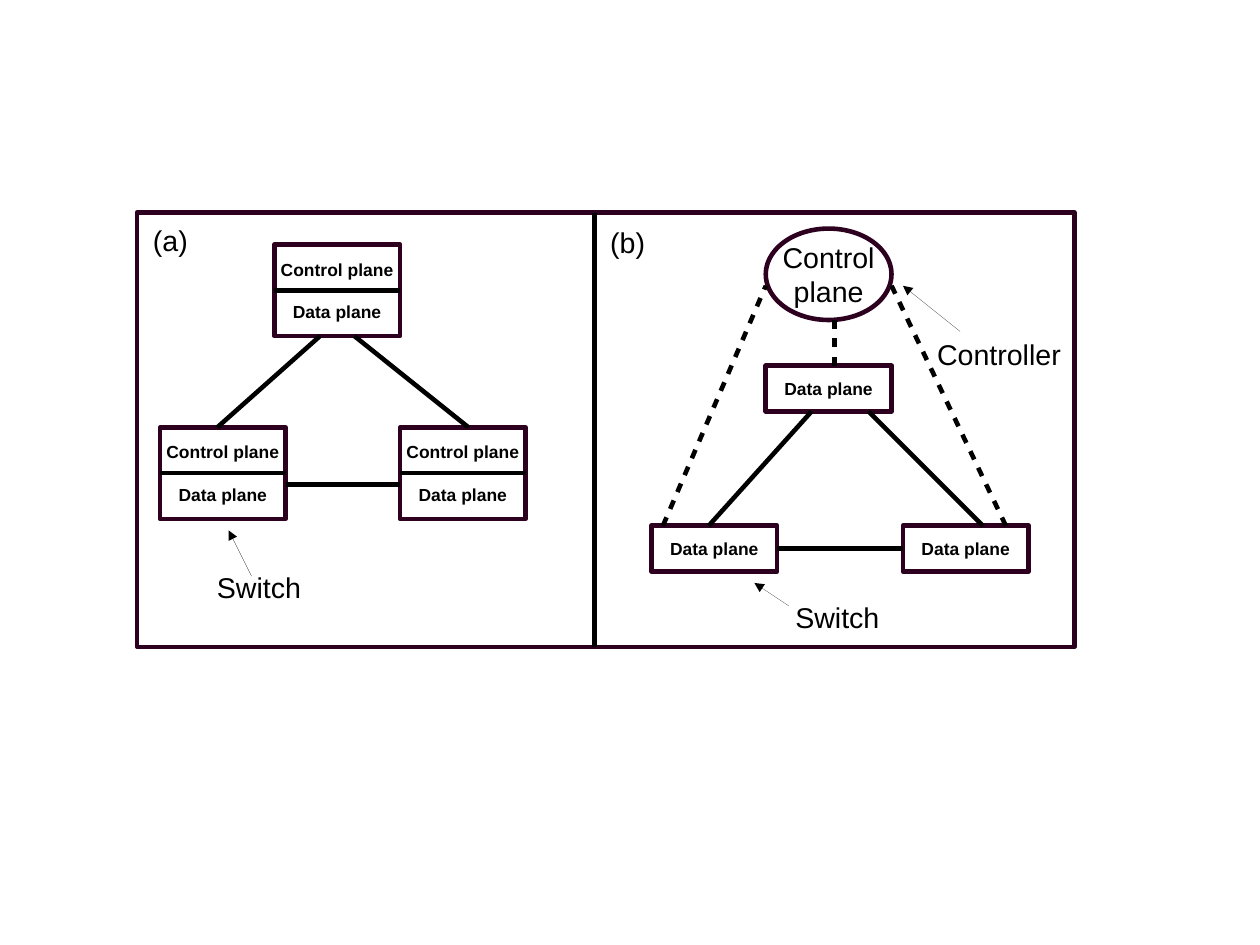
from dataclasses import dataclass

from lxml import etree
from pptx import Presentation
from pptx.dml.color import RGBColor
from pptx.enum.shapes import MSO_CONNECTOR, MSO_SHAPE
from pptx.enum.text import MSO_ANCHOR, PP_ALIGN
from pptx.oxml.ns import qn
from pptx.util import Cm, Inches, Pt

RECTANGLE, OVAL = MSO_SHAPE.RECTANGLE, MSO_SHAPE.OVAL
STRAIGHT = MSO_CONNECTOR.STRAIGHT
LEFT, CENTER = PP_ALIGN.LEFT, PP_ALIGN.CENTER
TOP, MIDDLE = MSO_ANCHOR.TOP, MSO_ANCHOR.MIDDLE


@dataclass(frozen=True)
class Theme:
    font: str = "Arial"
    ink: RGBColor = RGBColor(0x00, 0x00, 0x00)
    outline: RGBColor = RGBColor(0x2C, 0x00, 0x1E)
    plane_size: float = 11
    label_size: float = 18
    line_width: float = 2.89
    hairline: float = 0
    plane_gap: float = 13.5


THEME = Theme()

# Content: positions in inches
FRAME = (1.2, 1.86, 8.2, 3.8)
DIVIDER_X = 5.2
NODE_WIDTH, PLANE_HEIGHT = 1.1, 0.4
SWITCH_PLANES = ["Control plane", "Data plane"]
DATA_PLANE = ["Data plane"]
CONTROLLER = ["Control", "plane"]
CONTROLLER_AT = (6.7, 2.0)

FULL_SWITCHES = [(1.4, 3.74), (2.4, 2.14), (3.5, 3.74)]
DATA_SWITCHES = [(5.7, 4.6), (6.7, 3.2), (7.9, 4.6)]

DATA_LINKS = [
    (1.9, 3.74, 2.8, 2.94), (4.1, 3.74, 3.1, 2.94), (3.5, 4.24, 2.5, 4.24),
    (6.2, 4.6, 7.1, 3.6), (8.6, 4.6, 7.6, 3.6), (7.9, 4.8, 6.8, 4.8),
]
CONTROL_LINKS = [(5.8, 4.6, 6.7, 2.5), (7.3, 3.2, 7.3, 2.8), (8.8, 4.6, 7.8, 2.5)]
POINTERS = [(2.2, 5.04, 2.0, 4.64), (8.4, 2.9, 7.9, 2.5), (6.9, 5.3, 6.6, 5.1)]
LABELS = [
    ("(a)", 1.24, 1.9, 0.6, 0.38), ("(b)", 5.24, 1.92, 0.6, 0.38),
    ("Switch", 1.8, 4.94, 1.1, 0.66), ("Switch", 6.86, 5.2, 1.1, 0.66),
    ("Controller", 8.1, 2.9, 1.3, 0.66),
]


def write_text(shape, lines, *, size, bold=False, align=LEFT, anchor=TOP,
               wrap=True, insets=(0.1, 0.05), gap=0):
    frame = shape.text_frame
    frame.word_wrap = wrap
    frame.vertical_anchor = anchor
    frame.margin_left = frame.margin_right = Inches(insets[0])
    frame.margin_top = frame.margin_bottom = Inches(insets[1])
    for index, line in enumerate(lines):
        paragraph = frame.add_paragraph() if index else frame.paragraphs[0]
        paragraph.alignment = align
        paragraph.space_before = Pt(gap if index else 0)
        run = paragraph.add_run()
        run.text = line
        run.font.name, run.font.size, run.font.bold = THEME.font, Pt(size), bold
        run.font.color.rgb = THEME.ink


def add_outline(slide, kind, box):
    shape = slide.shapes.add_shape(kind, *map(Inches, box))
    shape.shadow.inherit = False
    shape.fill.background()
    shape.line.color.rgb = THEME.outline
    shape.line.width = Pt(THEME.line_width)
    return shape


def add_node(slide, kind, box, lines, **text_format):
    shape = add_outline(slide, kind, box)
    write_text(shape, lines, align=CENTER, anchor=MIDDLE, wrap=False,
               insets=(0.12, 0.07), **text_format)


def add_line(slide, ends, width=THEME.line_width, dashed=False, arrow=False):
    connector = slide.shapes.add_connector(STRAIGHT, *map(Inches, ends))
    connector.line.color.rgb = THEME.ink
    properties = connector.line._get_or_add_ln()
    # Written out so that a zero width is kept
    properties.set("w", str(Pt(width)))
    if dashed:
        dashes = etree.SubElement(properties, qn("a:custDash"))
        etree.SubElement(dashes, qn("a:ds"), d="200000", sp="200000")
    if arrow:
        etree.SubElement(properties, qn("a:tailEnd"), type="triangle")
    etree.SubElement(connector._element.spPr, qn("a:effectLst"))


def main():
    presentation = Presentation()
    presentation.slide_width, presentation.slide_height = Cm(28), Cm(21)
    slide = presentation.slides.add_slide(presentation.slide_layouts[6])

    # Switches holding both planes
    for left, top in FULL_SWITCHES:
        add_node(slide, RECTANGLE, (left, top, NODE_WIDTH, 2 * PLANE_HEIGHT),
                 SWITCH_PLANES, size=THEME.plane_size, bold=True, gap=THEME.plane_gap)
        middle = top + PLANE_HEIGHT
        add_line(slide, (left, middle, left + NODE_WIDTH, middle))

    # Data-only switches and their controller
    for left, top in DATA_SWITCHES:
        add_node(slide, RECTANGLE, (left, top, NODE_WIDTH, PLANE_HEIGHT),
                 DATA_PLANE, size=THEME.plane_size, bold=True)
    add_node(slide, OVAL, (*CONTROLLER_AT, NODE_WIDTH, 2 * PLANE_HEIGHT),
             CONTROLLER, size=THEME.label_size)

    # Links and pointers
    for ends in DATA_LINKS:
        add_line(slide, ends)
    for ends in CONTROL_LINKS:
        add_line(slide, ends, dashed=True)
    for ends in POINTERS:
        add_line(slide, ends, width=THEME.hairline, arrow=True)

    # Frame with its two panels
    add_outline(slide, RECTANGLE, FRAME)
    frame_top, frame_height = FRAME[1], FRAME[3]
    add_line(slide, (DIVIDER_X, frame_top, DIVIDER_X, frame_top + frame_height))

    # Labels
    for text, *box in LABELS:
        label = slide.shapes.add_textbox(*map(Inches, box))
        write_text(label, [text], size=THEME.label_size)

    presentation.save("out.pptx")


if __name__ == "__main__":
    main()
